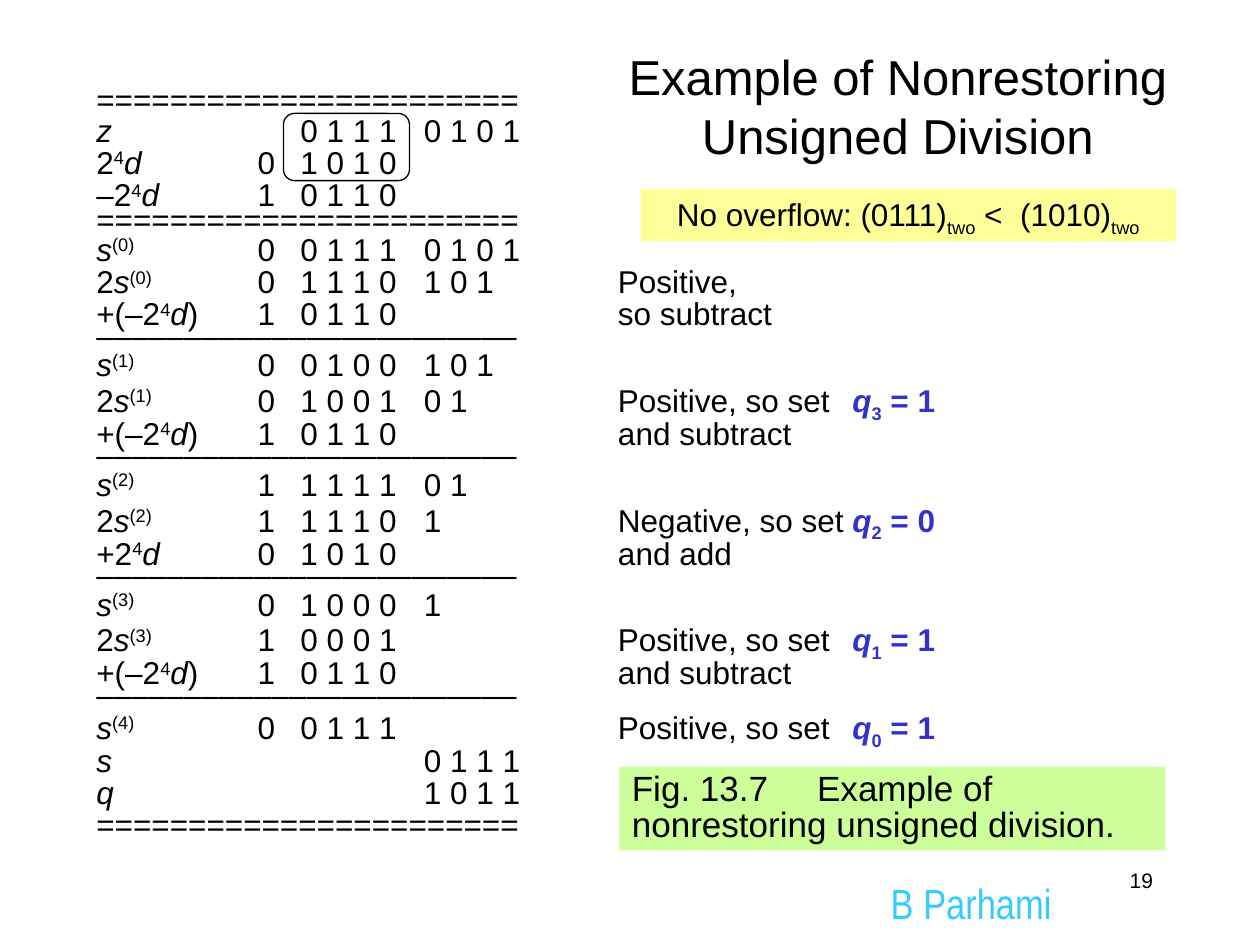
from lxml.etree import SubElement
from pptx import Presentation
from pptx.dml.color import RGBColor
from pptx.enum.shapes import MSO_SHAPE as Shape
from pptx.enum.text import MSO_ANCHOR as Anchor, PP_ALIGN as Align
from pptx.oxml.ns import qn
from pptx.util import Inches, Pt

UNIT = Inches(1) / 12  # the slide is a grid of 120 columns and 90 rows
BLACK, BLUE, CYAN = "000000", "3333CC", "33CCFF"
BASELINES = {"^": "30000", "_": "-25000"}


def place(col, row, cols, rows, kind=None, fill=None, anchor=Anchor.TOP):
    """Add a text box, or a preset shape when kind is given."""
    spot = [int(n * UNIT) for n in (col, row, cols, rows)]
    if kind is None:
        shape = slide.shapes.add_textbox(*spot)
    else:
        shape = slide.shapes.add_shape(kind, *spot)
        shape.shadow.inherit = False
        shape.line.fill.background()
        if fill:
            shape.fill.solid()
            shape.fill.fore_color.rgb = RGBColor.from_string(fill)
        else:
            shape.fill.background()
    shape.text_frame.word_wrap = True
    shape.text_frame.vertical_anchor = anchor
    return shape


def write(paragraph, marked, size=18, color=BLACK, bold=False, font="Arial",
          align=Align.LEFT, spacing=None, stops=()):
    """Add runs parted by |, led by / for italic, ^ for super- and _ for subscript."""
    if stops:
        tabs = SubElement(paragraph._p.get_or_add_pPr(), qn("a:tabLst"))
        for stop in stops:
            SubElement(tabs, qn("a:tab"), pos=str(int(Inches(stop))), algn="l")
    paragraph.alignment = align
    if spacing:
        paragraph.line_spacing = spacing
    for piece in marked.split("|"):
        run = paragraph.add_run()
        run.text = piece.lstrip("/^_")
        run.font.name, run.font.size, run.font.bold = font, Pt(size), bold
        run.font.italic = piece.startswith("/")
        run.font.color.rgb = RGBColor.from_string(color)
        if piece[0] in BASELINES:
            run._r.get_or_add_rPr().set("baseline", BASELINES[piece[0]])


prs = Presentation()
prs.slide_width, prs.slide_height = Inches(10), Inches(7.5)
slide = prs.slides.add_slide(prs.slide_layouts[6])

author = place(83.65, 83, 20, 5).text_frame
write(author.paragraphs[0], "B Parhami", 24, CYAN, font="Arial Narrow")

title = place(57, 3, 57, 14, anchor=Anchor.MIDDLE).text_frame
write(title.paragraphs[0], "Example of Nonrestoring Unsigned Division", 28, align=Align.CENTER)

caption = place(59, 73, 52, 8, Shape.RECTANGLE, "CCFF99").text_frame
write(caption.paragraphs[0], "Fig. 13.7\tExample of nonrestoring unsigned division.",
      20, spacing=0.85, stops=[1.47])

# Worked division: label, carry, high word, low word, comment, quotient digit
DOUBLE_RULE, RULE = "=" * 23, "–" * 24
SUBTRACT = "+(–2|^4|/d|)"
steps = [
    (0.7, DOUBLE_RULE),
    (0.85, "/z", "", "0 1 1 1", "0 1 0 1"),
    (0.85, "2|^4|/d", "0", "1 0 1 0"),
    (0.85, "–2|^4|/d", "1", "0 1 1 0"),
    (0.6, DOUBLE_RULE),
    (0.85, "/s|^(0)", "0", "0 1 1 1", "0 1 0 1"),
    (0.85, "2|/s|^(0)", "0", "1 1 1 0", "1 0 1", "Positive,"),
    (0.85, SUBTRACT, "1", "0 1 1 0", "", "so subtract"),
    (0.5, RULE),
    (0.85, "/s|^(1)", "0", "0 1 0 0", "1 0 1"),
    (0.85, "2|/s|^(1)", "0", "1 0 0 1", "0 1", "Positive, so set", "/q|_3| = 1"),
    (0.85, SUBTRACT, "1", "0 1 1 0", "", "and subtract"),
    (0.5, RULE),
    (0.85, "/s|^(2)", "1", "1 1 1 1", "0 1"),
    (0.85, "2|/s|^(2)", "1", "1 1 1 0", "1", "Negative, so set", "/q|_2| = 0"),
    (0.85, "+2|^4|/d", "0", "1 0 1 0", "", "and add"),
    (0.5, RULE),
    (0.85, "/s|^(3)", "0", "1 0 0 0", "1"),
    (0.85, "2|/s|^(3)", "1", "0 0 0 1", "", "Positive, so set", "/q|_1| = 1"),
    (0.85, SUBTRACT, "1", "0 1 1 0", "", "and subtract"),
    (0.5, RULE),
    (0.85, "/s|^(4)", "0", "0 1 1 1", "", "Positive, so set", "/q|_0| = 1"),
    (0.85, "/s", "", "", "0 1 1 1"),
    (0.85, "/q", "", "", "1 0 1 1"),
    (0.85, DOUBLE_RULE),
]
columns = [1.28, 1.62, 2.6, 4.14, 6]
division = place(8, 8, 83, 73).text_frame
for number, (spacing, label, *cells) in enumerate(steps):
    line = division.paragraphs[0] if number == 0 else division.add_paragraph()
    write(line, label, spacing=spacing, stops=columns)
    digit = cells.pop() if len(cells) == 5 else None
    if cells:
        write(line, "\t" + "\t".join(cells) + ("\t" if digit else ""), spacing=spacing)
    if digit:
        write(line, digit, color=BLUE, bold=True, spacing=spacing)

overflow = place(61, 18, 51, 5, Shape.RECTANGLE, "FFFF99", Anchor.MIDDLE).text_frame
write(overflow.paragraphs[0], "No overflow: (0111)|_two| <  (1010)|_two",
      align=Align.CENTER, spacing=0.9)

compared = place(27, 10.8, 12, 6.4, Shape.ROUNDED_RECTANGLE)
compared.line.color.rgb = RGBColor.from_string(BLACK)
compared.line.width = Pt(0.75)

page = place(86, 82, 25, 6).text_frame
write(page.paragraphs[0], "19", 12, align=Align.RIGHT)

prs.save("out.pptx")
